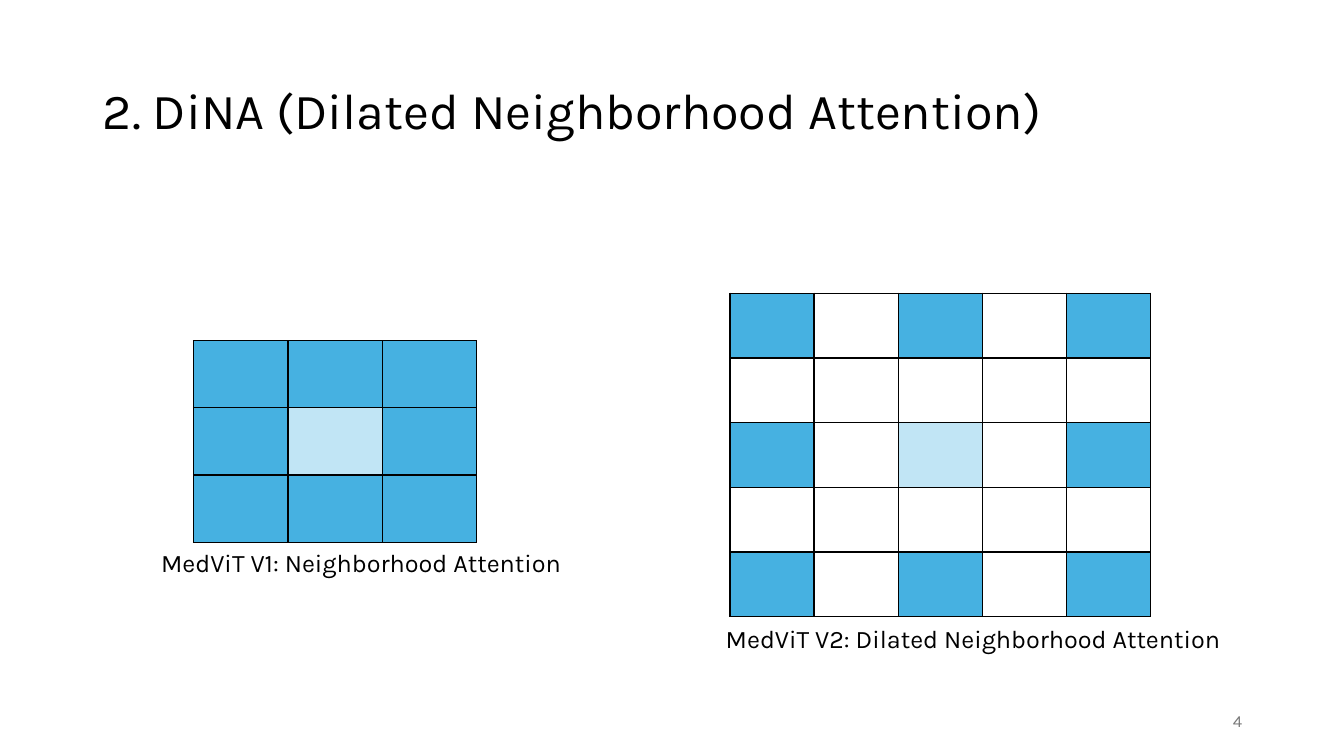
import pptx
import pptx.dml.color
import pptx.enum.text
import pptx.oxml
import pptx.oxml.ns
import pptx.util
from pptx.util import Inches

FONT = "Karla"
BLACK = "000000"
TITLE = "2. DiNA (Dilated Neighborhood Attention)"
TITLE_BOX = (0.92, 0.4, 11.5, 1.45)
CELL_FILLS = {"N": "46B1E1", "Q": "C1E5F5"}
GRIDS = [
    {"box": (1.92, 3.38, 2.81, 2), "pattern": ["NNN", "NQN", "NNN"]},
    {"box": (7.24, 2.91, 4.17, 3.21),
     "pattern": ["N.N.N", ".....", "N.Q.N", ".....", "N.N.N"]},
]
LEFT = pptx.enum.text.PP_ALIGN.LEFT
RIGHT = pptx.enum.text.PP_ALIGN.RIGHT
TOP = pptx.enum.text.MSO_ANCHOR.TOP
MIDDLE = pptx.enum.text.MSO_ANCHOR.MIDDLE
LABELS = [
    ("MedViT V1: Neighborhood Attention", (1.5, 5.38, 6.67, 0.4), 18, BLACK, LEFT, TOP),
    ("MedViT V2: Dilated Neighborhood Attention", (7.1, 6.13, 6.67, 0.4), 18, BLACK, LEFT, TOP),
    ("4", (9.42, 6.95, 3, 0.4), 12, "797979", RIGHT, MIDDLE),
]


def color(hex_string):
    return pptx.dml.color.RGBColor.from_string(hex_string)


def set_attributes(target, values):
    for name, value in values.items():
        setattr(target, name, value)


def write_text(shape, text, size, hex_string, alignment, anchor):
    set_attributes(shape.text_frame, {"text": text, "word_wrap": True, "vertical_anchor": anchor})
    paragraph = shape.text_frame.paragraphs[0]
    paragraph.alignment = alignment
    font = paragraph.runs[0].font
    set_attributes(font, {"name": FONT, "size": pptx.util.Pt(size), "bold": False})
    font.color.rgb = color(hex_string)
    return paragraph


def add_borders(cell):
    properties = cell._tc.get_or_add_tcPr()
    for position, side in enumerate(("lnL", "lnR", "lnT", "lnB")):
        border = pptx.oxml.parse_xml(
            f'<a:{side} {pptx.oxml.ns.nsdecls("a")} w="12700"><a:solidFill>'
            f'<a:srgbClr val="{BLACK}"/></a:solidFill></a:{side}>')
        properties.insert(position, border)


def add_grid(slide, box, pattern):
    row_count, column_count = len(pattern), len(pattern[0])
    frame = slide.shapes.add_table(row_count, column_count, *map(Inches, box))
    table = frame.table
    set_attributes(table, {"first_row": False, "horz_banding": False})
    for column in table.columns:
        column.width = Inches(box[2] / column_count)
    for row, marks in zip(table.rows, pattern):
        row.height = Inches(box[3] / row_count)
        for cell, mark in zip(row.cells, marks):
            if mark in CELL_FILLS:
                cell.fill.solid()
                cell.fill.fore_color.rgb = color(CELL_FILLS[mark])
            else:
                cell.fill.background()
            add_borders(cell)


def main():
    presentation = pptx.Presentation()
    set_attributes(presentation, {"slide_width": Inches(13.33), "slide_height": Inches(7.5)})
    slide = presentation.slides.add_slide(presentation.slide_layouts[5])
    title = slide.shapes.title
    set_attributes(title, dict(zip(("left", "top", "width", "height"), map(Inches, TITLE_BOX))))
    write_text(title, TITLE, 36, BLACK, LEFT, MIDDLE).line_spacing = 0.9
    for grid in GRIDS:
        add_grid(slide, **grid)
    for text, box, size, hex_string, alignment, anchor in LABELS:
        label = slide.shapes.add_textbox(*map(Inches, box))
        write_text(label, text, size, hex_string, alignment, anchor)
    presentation.save("out.pptx")


if __name__ == "__main__":
    main()
